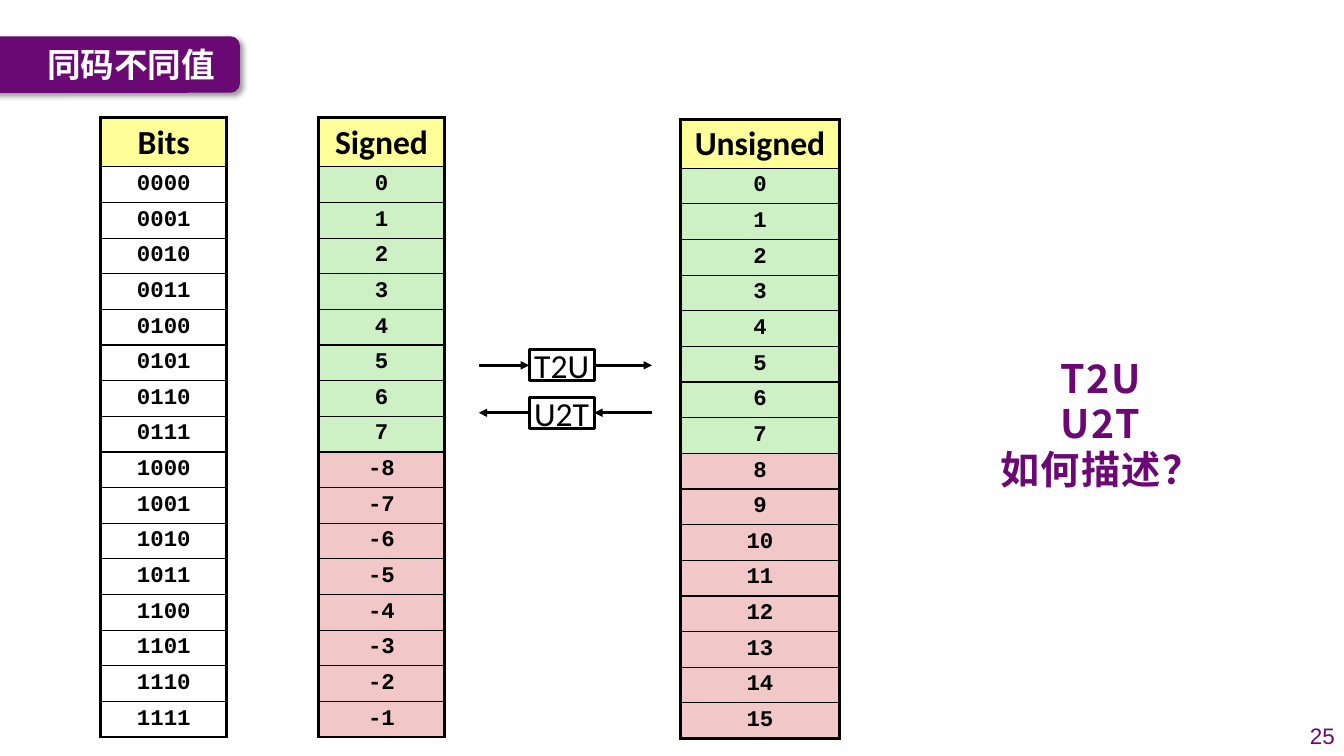
from lxml import etree
from pptx import Presentation
from pptx import util as u
from pptx.dml.color import RGBColor
from pptx.enum import shapes, text
from pptx.oxml.ns import qn

Pt = u.Pt
COLORS = {"purple": "6A0874", "question": "6B0874", "white": "FFFFFF",
          "black": "000000", "header": "FFFF99", "green": "CDF1C5", "red": "F1C7C7"}
CJK = "Noto Sans CJK SC"

# Content
TITLE = "同码不同值"
QUESTION = ["T2U", "U2T", "如何描述？"]
PAGE = "25"
BITS = [f"{n:04b}" for n in range(16)]
SIGNED = [str(n if n < 8 else n - 16) for n in range(16)]
UNSIGNED = [str(n) for n in range(16)]
# heading, values, left, top, width, coloured
TABLES = [("Bits", BITS, 72, 84.2, 90, False),
          ("Signed", SIGNED, 227.5, 84.2, 90, True),
          ("Unsigned", UNSIGNED, 486, 85.2, 113.8, True)]
HEAD_H, ROW_H = 35, 25.45
# label, top, arrow points right
CONVERSIONS = [("T2U", 249.8, True), ("U2T", 283.7, False)]
BOX_X, BOX_W, BOX_H = 378, 46.4, 22.3
FLOW_LEFT, FLOW_RIGHT = 342, 465.8


def rgb(name):
    return RGBColor.from_string(COLORS[name])


def add_run(p, words, size, font, color, bold=False):
    r = p.add_run()
    r.text = words
    r.font.size, r.font.name, r.font.bold = Pt(size), font, bold
    r.font.color.rgb = rgb(color)
    etree.SubElement(r._r.get_or_add_rPr(), qn("a:ea"), typeface=font)
    return r


def add_text(s, box, lines, size, font, color, align, bold=False, wrap=True):
    tf = s.shapes.add_textbox(*map(Pt, box)).text_frame
    tf.word_wrap = wrap
    tf.vertical_anchor = text.MSO_ANCHOR.MIDDLE
    for i, words in enumerate(lines):
        p = tf.paragraphs[0] if i == 0 else tf.add_paragraph()
        p.alignment = align
        add_run(p, words, size, font, color, bold)
    return tf


def set_borders(cell, top, bottom):
    tcPr = cell._tc.get_or_add_tcPr()
    sides = [("lnL", 2.25), ("lnR", 2.25), ("lnT", top), ("lnB", bottom)]
    for i, (side, width) in enumerate(sides):
        ln = etree.Element(qn(f"a:{side}"), w=str(Pt(width)))
        fill = etree.SubElement(ln, qn("a:solidFill"))
        etree.SubElement(fill, qn("a:srgbClr"), val=COLORS["black"])
        tcPr.insert(i, ln)


def add_value_table(s, heading, values, left, top, width, coloured):
    rows = [heading] + values
    height = HEAD_H + ROW_H * len(values)
    table = s.shapes.add_table(len(rows), 1, Pt(left), Pt(top), Pt(width), Pt(height)).table
    table.first_row = table.horz_banding = False
    for i, words in enumerate(rows):
        table.rows[i].height = Pt(ROW_H if i else HEAD_H)
        cell = table.cell(i, 0)
        cell.margin_left = cell.margin_right = Pt(3.6)
        cell.margin_top = cell.margin_bottom = Pt(3.6)
        if i and not coloured:
            cell.fill.background()
        else:
            cell.fill.solid()
            name = "header" if i == 0 else "green" if i <= 8 else "red"
            cell.fill.fore_color.rgb = rgb(name)
        set_borders(cell, 1 if i else 2.25, 2.25 if i == len(values) else 1)
        p = cell.text_frame.paragraphs[0]
        p.alignment, p.line_spacing = text.PP_ALIGN.CENTER, 0.95
        size, font = (16, "Courier New") if i else (24, "Calibri")
        add_run(p, words, size, font, "black", True)


def add_arrow(s, start, end):
    c = s.shapes.add_connector(shapes.MSO_CONNECTOR.STRAIGHT, *map(Pt, start + end))
    c.line.color.rgb, c.line.width = rgb("black"), Pt(2)
    etree.SubElement(c.line._get_or_add_ln(), qn("a:tailEnd"), type="triangle")
    etree.SubElement(c._element.spPr, qn("a:effectLst"))
    return c


def add_conversion(s, label, top, rightward):
    sp = s.shapes.add_shape(shapes.MSO_SHAPE.RECTANGLE, Pt(BOX_X), Pt(top), Pt(BOX_W), Pt(BOX_H))
    sp.shadow.inherit = False
    sp.fill.solid()
    sp.fill.fore_color.rgb = rgb("white")
    sp.line.color.rgb, sp.line.width = rgb("black"), Pt(2)
    tf = sp.text_frame
    tf.word_wrap = False
    tf.vertical_anchor = text.MSO_ANCHOR.MIDDLE
    p = tf.paragraphs[0]
    p.alignment = text.PP_ALIGN.CENTER
    add_run(p, label, 24, "Calibri", "black")
    mid = top + BOX_H / 2
    for outer, inner, site in [(FLOW_LEFT, BOX_X, 1), (FLOW_RIGHT, BOX_X + BOX_W, 3)]:
        if (site == 1) == rightward:
            add_arrow(s, (outer, mid), (inner, mid)).end_connect(sp, site)
        else:
            add_arrow(s, (inner, mid), (outer, mid)).begin_connect(sp, site)


def add_title(s):
    sp = s.shapes.add_shape(shapes.MSO_SHAPE.ROUNDED_RECTANGLE,
                            Pt(-58.3), Pt(26), Pt(229.7), Pt(40.3))
    sp.fill.solid()
    sp.fill.fore_color.rgb = rgb("purple")
    sp.line.fill.background()
    sp.shadow.inherit = False
    effects = sp._element.spPr.find(qn("a:effectLst"))
    shadow = etree.SubElement(effects, qn("a:outerShdw"), blurRad=str(Pt(4)), dist=str(Pt(3)),
                              dir=str(45 * 60000), algn="tl", rotWithShape="0")
    color = etree.SubElement(shadow, qn("a:srgbClr"), val=COLORS["black"])
    etree.SubElement(color, qn("a:alpha"), val="40000")
    add_text(s, (26.6, 26, 144.7, 39.6), [TITLE], 24, CJK, "white", text.PP_ALIGN.LEFT, True)


def main():
    prs = Presentation()
    prs.slide_width, prs.slide_height = Pt(960), Pt(540)
    s = prs.slides.add_slide(prs.slide_layouts[6])
    add_title(s)

    # Question on the right, with wider letter spacing
    tf = add_text(s, (705.6, 242.6, 161.3, 122.4), QUESTION, 28, CJK, "question",
                  text.PP_ALIGN.CENTER, True, wrap=False)
    for p in tf.paragraphs:
        p.line_spacing = 0.97
        p.runs[0]._r.get_or_add_rPr().set("spc", "100")

    # Value tables and the conversions between them
    for row in TABLES:
        add_value_table(s, *row)
    for row in CONVERSIONS:
        add_conversion(s, *row)

    # Page number
    add_text(s, (920.9, 511.2, 39.6, 28.8), [PAGE], 16, "Arial", "purple", text.PP_ALIGN.RIGHT)
    prs.save("out.pptx")


if __name__ == "__main__":
    main()
